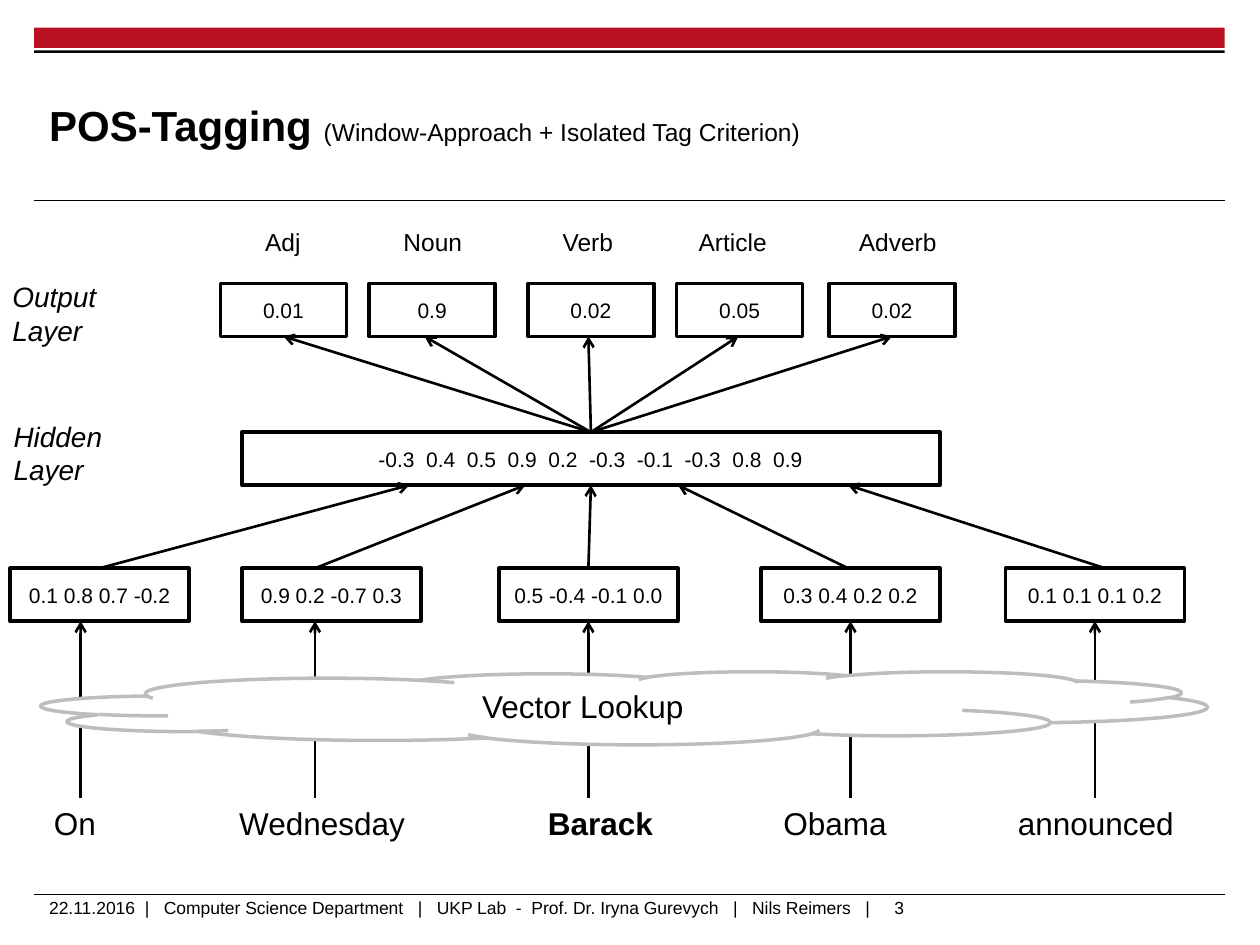
from dataclasses import dataclass

from lxml import etree
from pptx import Presentation
from pptx import util as u
from pptx.dml.color import RGBColor
from pptx.enum import shapes, text
from pptx.oxml import ns


@dataclass(frozen=True)
class Theme:
    font: str = "Arial"
    black: RGBColor = RGBColor(0, 0, 0)
    white: RGBColor = RGBColor(255, 255, 255)
    red: RGBColor = RGBColor(0xB9, 0x10, 0x22)
    grey: RGBColor = RGBColor(0xBD, 0xBD, 0xBD)
    title: int = 24
    word: int = 18
    layer: int = 16
    label: int = 14
    value: int = 12
    footer: int = 10


theme = Theme()
deck = Presentation()
deck.slide_width, deck.slide_height = u.Inches(10), u.Inches(7.5)
page = deck.slides.add_slide(deck.slide_layouts[5])


def write(content, at=None, size=theme.value, bold=False, italic=False, align="LEFT",
          anchor="TOP", margin=None, wrap=True, box=None, tabs=()):
    """Write text, or a list of (text, size, bold) spans, in a box or a new text box."""
    box = box or page.shapes.add_textbox(*map(u.Inches, at))
    frame = box.text_frame
    frame.word_wrap = wrap
    frame.auto_size = text.MSO_AUTO_SIZE.NONE
    frame.vertical_anchor = getattr(text.MSO_ANCHOR, anchor)
    if margin is not None:
        frame.margin_left = frame.margin_right = u.Inches(margin)
        frame.margin_top = frame.margin_bottom = u.Inches(margin)
    spans = [(content, size, bold)] if isinstance(content, str) else content
    para = frame.paragraphs[0]
    para.alignment = getattr(text.PP_ALIGN, align)
    if tabs:
        tab_list = etree.SubElement(para._p.get_or_add_pPr(), ns.qn("a:tabLst"))
        for stop in tabs:
            etree.SubElement(tab_list, ns.qn("a:tab"), pos=str(u.Inches(stop)), algn="l")
    for words, points, heavy in spans:
        for number, line in enumerate(words.split("\n")):
            if number:
                para = frame.add_paragraph()
                para.alignment = getattr(text.PP_ALIGN, align)
            span = para.add_run()
            span.text = line
            span.font.name, span.font.size = theme.font, u.Pt(points)
            span.font.bold, span.font.italic = heavy, italic
            span.font.color.rgb = theme.black


def draw(kind, *at, fill=None, line=None, width=2, arrow=False):
    """Draw a preset shape at left, top, width, height, or a line from x, y to x, y."""
    lengths = map(u.Inches, at)
    if kind == "LINE":
        shape = page.shapes.add_connector(shapes.MSO_CONNECTOR.STRAIGHT, *lengths)
        etree.SubElement(shape._element.spPr, ns.qn("a:effectLst"))
    else:
        shape = page.shapes.add_shape(getattr(shapes.MSO_SHAPE, kind), *lengths)
        shape.shadow.inherit = False
        if fill is None:
            shape.fill.background()
        else:
            shape.fill.solid()
            shape.fill.fore_color.rgb = fill
    if line is None:
        shape.line.fill.background()
    else:
        shape.line.color.rgb, shape.line.width = line, u.Pt(width)
    if arrow:
        etree.SubElement(shape.line._get_or_add_ln(), ns.qn("a:tailEnd"), type="arrow")
    return shape


# Page frame
draw("RECTANGLE", 0.27, 0.22, 9.45, 0.16, fill=theme.red)
draw("RECTANGLE", 0.27, 0.4, 9.45, 0.02, fill=theme.black)
for y in (1.59, 7.1):
    draw("LINE", 0.27, y, 9.72, y, line=theme.black, width=0.6)

# Title
title = page.shapes.title
title.left, title.top = u.Inches(0.39), u.Inches(0.53)
title.width, title.height = u.Inches(7.84), u.Inches(0.92)
write([("POS-Tagging ", theme.title, True),
       ("(Window-Approach + Isolated Tag Criterion)", theme.label, False)],
      box=title, anchor="MIDDLE", margin=0)

# Footer
write("22.11.2016  |   Computer Science Department   |   UKP Lab  -  "
      "Prof. Dr. Iryna Gurevych   |   Nils Reimers   |",
      (0.39, 7.12, 8.7, 0.25), size=theme.footer, margin=0)
write("3", (7, 7.07, 0.48, 0.27), size=theme.footer, wrap=False)

# Rows of the network
box_height = 0.42
output_top, hidden_top, vector_top, word_top = 2.25, 3.43, 4.51, 6.33
output_bottom, hidden_bottom, vector_bottom = (
    top + box_height for top in (output_top, hidden_top, vector_top))

# Arrows from the words to their vectors, behind the lookup cloud
for x in (0.64, 2.5, 4.67, 6.75, 8.69):
    draw("LINE", x, word_top, x, vector_bottom, line=theme.black, width=1.5, arrow=True)
cloud = draw("CLOUD", 0.33, 5.33, 9.25, 0.58, fill=theme.white, line=theme.grey)
write("Vector Lookup", box=cloud, size=theme.word, align="CENTER", anchor="MIDDLE")

# Sentence
write([("On\tWednesday\t", theme.word, False), ("Barack", theme.word, True),
       ("\tObama\tannounced", theme.word, False)],
      (0.33, word_top, 9.56, 0.4), tabs=(1.47, 3.92, 5.79, 7.65))

# Word vectors: left edge, values, arrow start and end
vectors = [
    (0.08, "0.1 0.8 0.7 -0.2", 0.79, 3.25),
    (1.92, "0.9 0.2 -0.7 0.3", 2.5, 4.17),
    (3.96, "0.5 -0.4 -0.1 0.0", 4.67, 4.69),
    (6.04, "0.3 0.4 0.2 0.2", 6.73, 5.38),
    (7.98, "0.1 0.1 0.1 0.2", 8.77, 6.73),
]
for left, values, start, end in vectors:
    vector = draw("RECTANGLE", left, vector_top, 1.42, box_height, line=theme.black)
    write(values, box=vector, align="CENTER", anchor="MIDDLE")
    draw("LINE", start, vector_top, end, hidden_bottom, line=theme.black, width=1.5, arrow=True)

# Hidden layer
hidden = draw("RECTANGLE", 1.92, hidden_top, 5.54, box_height, line=theme.black)
write("-0.3  0.4  0.5  0.9  0.2  -0.3  -0.1  -0.3  0.8  0.9",
      box=hidden, align="CENTER", anchor="MIDDLE")
write("Hidden\nLayer", (0.01, 3.28, 1.74, 0.64), size=theme.layer, italic=True)

# Output layer: tag, label left, box left, score, arrow end
outputs = [
    ("Adj", 1.62, 1.75, "0.01", 2.25),
    ("Noun", 2.81, 2.93, "0.9", 3.37),
    ("Verb", 4.04, 4.19, "0.02", 4.67),
    ("Article", 5.19, 5.37, "0.05", 5.86),
    ("Adverb", 6.5, 6.58, "0.02", 7.08),
]
write("Output Layer", (0, 2.17, 1.25, 0.64), size=theme.layer, italic=True)
for tag, label_left, left, score, end in outputs:
    write(tag, (label_left, 1.75, 1.25, 0.34), size=theme.label, align="CENTER")
    output = draw("RECTANGLE", left, output_top, 1, box_height, line=theme.black)
    write(score, box=output, align="CENTER", anchor="MIDDLE")
    draw("LINE", 4.69, hidden_top, end, output_bottom, line=theme.black, width=1.5, arrow=True)

deck.save("out.pptx")
